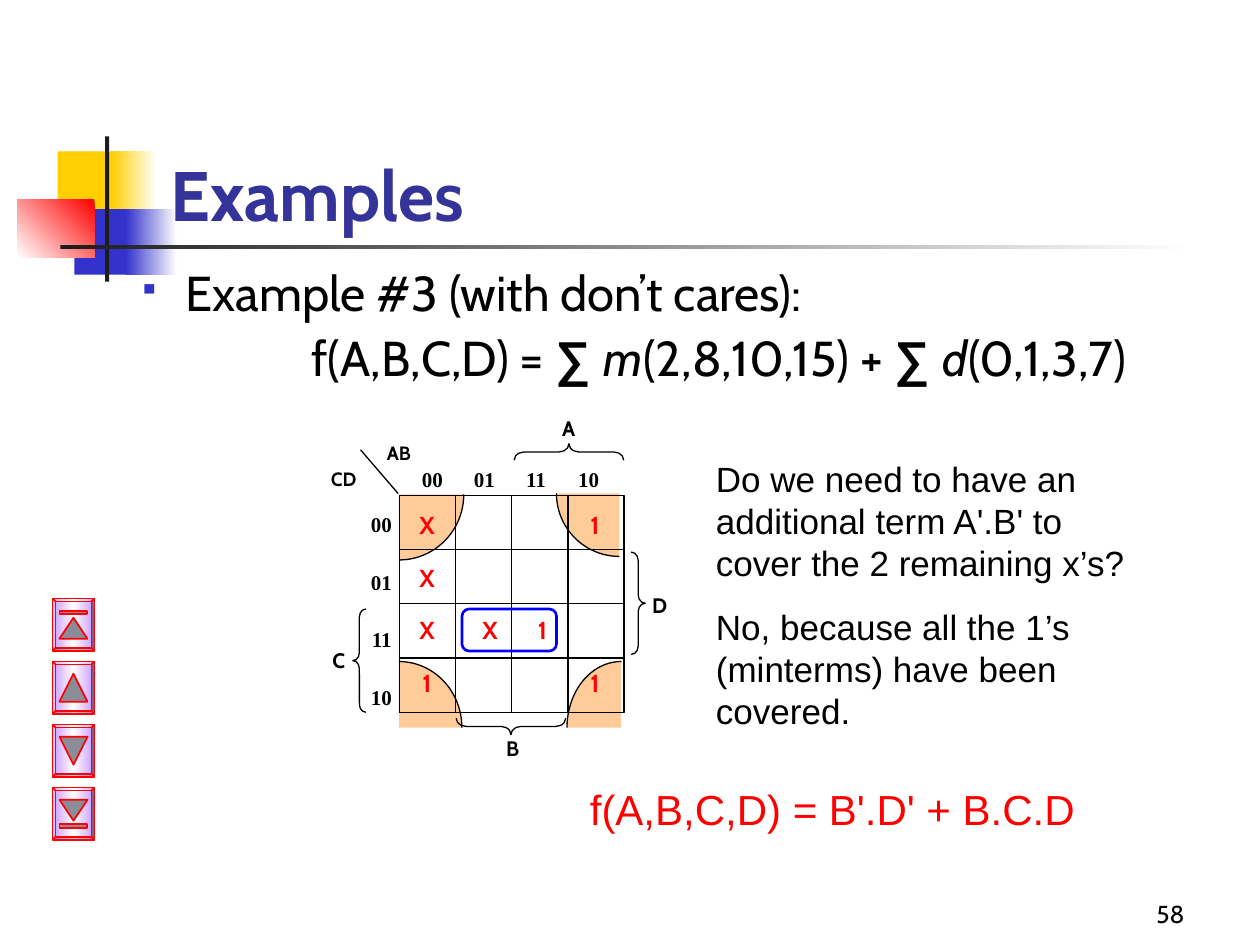
from lxml import etree
from pptx import Presentation
from pptx.dml.color import RGBColor
from pptx.enum.shapes import MSO_CONNECTOR, MSO_SHAPE
from pptx.enum.text import MSO_ANCHOR, MSO_AUTO_SIZE, PP_ALIGN
from pptx.oxml.ns import qn
from pptx.util import Pt

RECT, ROUND, BEVEL = MSO_SHAPE.RECTANGLE, MSO_SHAPE.ROUNDED_RECTANGLE, MSO_SHAPE.BEVEL
TRIANGLE, ARC = MSO_SHAPE.ISOSCELES_TRIANGLE, MSO_SHAPE.ARC
LEFT_BRACE, RIGHT_BRACE = MSO_SHAPE.LEFT_BRACE, MSO_SHAPE.RIGHT_BRACE
STRAIGHT = MSO_CONNECTOR.STRAIGHT
LEFT, CENTER, RIGHT = PP_ALIGN.LEFT, PP_ALIGN.CENTER, PP_ALIGN.RIGHT
TOP, BOTTOM = MSO_ANCHOR.TOP, MSO_ANCHOR.BOTTOM
CABIN, ARIAL, TIMES = "Cabin", "Arial", "Times New Roman"
BLACK, RED, BLUE, WHITE = "000000", "FF0000", "3333CC", "FFFFFF"

# Content
TITLE = "Examples"
HEADING = "Example #3 (with don’t cares):"
SUM = ("∑ ", {"font": ARIAL, "bold": True})
FORMULA = ["f(A,B,C,D) = ", SUM, ("m", {"italic": True}), "(2,8,10,15) + ",
           SUM, ("d", {"italic": True}), "(0,1,3,7)"]
NOTES = ["Do we need to have an additional term A'.B' to cover the 2 remaining x’s?",
         "No, because all the 1’s (minterms) have been covered."]
RESULT = "f(A,B,C,D) = B'.D' + B.C.D"
PAGE_NUMBER = "58"
CODES = ["00", "01", "11", "10"]
MAP_VALUES = [["X", "", "", "1"],
              ["X", "", "", ""],
              ["X", "X", "1", ""],
              ["1", "", "", "1"]]
# Variable name, box, size
VARIABLES = [("A", (313, 234, 24, 19), 12), ("B", (281, 417, 24, 19), 12),
             ("C", (181.5, 366.5, 24, 25), 12), ("D", (365, 335, 24, 25), 12),
             ("CD", (174, 263.5, 45, 21), 11), ("AB", (209.5, 248.5, 37, 21), 11)]
# Shape, box, rotation
BRACES = [(LEFT_BRACE, (201.6, 348, 7.5, 59), 0), (LEFT_BRACE, (320.4, 227, 9.4, 62.6), 90),
          (LEFT_BRACE, (287.3, 383.8, 9.4, 62.6), 270), (RIGHT_BRACE, (360.7, 315.5, 8, 58.5), 0)]
# Ellipse box, start angle of the quarter
CORNERS = [((324, 378, 62, 75.5), 180), ((192, 378, 72, 75.5), 270),
           ((318, 246, 72, 72), 90), ((191, 245, 74, 75), 0)]
# Box, colours, gradient angle
DECORATION = [((33, 86.5, 34.5, 37.5), ["FFCF01"], 0),
              ((63.5, 86.5, 26, 37.5), ["FFCF01", WHITE], 0),
              ((42.5, 119.5, 33, 37.5), [BLUE], 0),
              ((72, 119.5, 29, 37.5), [BLUE, WHITE], 0),
              ((10, 114, 44, 33), [RED, WHITE], 135),
              ((60, 78, 2.4, 83), ["1C1C1C"], 0),
              ((34.5, 140, 648, 2.5), ["1C1C1C", WHITE], 0)]
# Triangle offset, triangle height, rotation, bar offset
BUTTONS = [(11, 12, 0, 7), (7, 16, 0, None), (7, 16, 180, None), (7, 12, 180, 21)]


def color(value):
    return RGBColor.from_string(value)


def set_fill(shape, colors, angle=0):
    if not colors:
        shape.fill.background()
    elif len(colors) == 1:
        shape.fill.solid()
        shape.fill.fore_color.rgb = color(colors[0])
    else:
        shape.fill.gradient()
        shape.fill.gradient_angle = (360 - angle) % 360
        stops = shape._element.spPr.find(qn("a:gradFill")).find(qn("a:gsLst"))
        for stop in list(stops):
            stops.remove(stop)
        for index, value in enumerate(colors):
            position = str(100000 * index // (len(colors) - 1))
            stop = etree.SubElement(stops, qn("a:gs"), pos=position)
            etree.SubElement(stop, qn("a:srgbClr"), val=value)


def add_shape(kind, at, colors=(), angle=0, line=None, width=0.75, rotation=0, adjust=()):
    shape = page.shapes.add_shape(kind, *map(Pt, at))
    shape.shadow.inherit = False
    shape.rotation = rotation
    for index, value in enumerate(adjust):
        shape.adjustments[index] = value
    set_fill(shape, colors, angle)
    if line:
        shape.line.color.rgb = color(line)
        shape.line.width = Pt(width)
    else:
        shape.line.fill.background()
    return shape


def add_line(start, end):
    line = page.shapes.add_connector(STRAIGHT, *map(Pt, start + end))
    line.line.color.rgb = color(BLACK)
    line.line.width = Pt(0.75)
    etree.SubElement(line._element.spPr, qn("a:effectLst"))
    return line


def write(box, paras, size=12, font=CABIN, ink=BLACK, bold=False, align=LEFT,
          anchor=TOP, before=0, spacing=None):
    """Fill a box; a paragraph is a string or a list of strings and (string, format) pairs."""
    frame = box.text_frame
    frame.word_wrap = True
    frame.auto_size = MSO_AUTO_SIZE.NONE
    frame.vertical_anchor = anchor
    for index, content in enumerate(paras):
        para = frame.add_paragraph() if index else frame.paragraphs[0]
        para.alignment = align
        para.space_before = Pt(before if index else 0)
        if spacing:
            para.line_spacing = spacing
        for item in [content] if isinstance(content, str) else content:
            words, style = (item, {}) if isinstance(item, str) else item
            span = para.add_run()
            span.text = words
            span.font.name = style.get("font", font)
            span.font.size = Pt(size)
            span.font.bold = style.get("bold", bold)
            span.font.italic = style.get("italic", False)
            span.font.color.rgb = color(ink)
    return box


def add_text(at, paras, **style):
    return write(page.shapes.add_textbox(*map(Pt, at)), paras, **style)


deck = Presentation()
deck.slide_width, deck.slide_height = Pt(720), Pt(540)
page = deck.slides.add_slide(deck.slide_layouts[5])

# Corner decoration and title
for at, colors, angle in DECORATION:
    add_shape(RECT, at, colors, angle)
title = page.shapes.title
title.left, title.top, title.width, title.height = map(Pt, (90.5, 48, 613.5, 90))
write(title, [TITLE], size=40, ink="333399", bold=True, anchor=BOTTOM)
page.shapes._spTree.append(title._element)

# Heading with bullet, formula indented below it
body = add_text((72, 150, 630, 78), [HEADING, FORMULA], size=28, before=7, spacing=0.9)
for para, margin, indent in zip(body.text_frame.paragraphs, (27, 99), (-27, 0)):
    properties = para._p.get_or_add_pPr()
    properties.set("marL", str(Pt(margin)))
    properties.set("indent", str(Pt(indent)))
bullet = body.text_frame.paragraphs[0]._p.pPr
etree.SubElement(etree.SubElement(bullet, qn("a:buClr")), qn("a:srgbClr"), val=BLUE)
etree.SubElement(bullet, qn("a:buSzPct"), val="60000")
etree.SubElement(bullet, qn("a:buChar"), char="▪")

# Navigation buttons
for index, (offset, height, rotation, bar) in enumerate(BUTTONS):
    left, top = 30, 342 + 36 * index
    add_shape(BEVEL, (left, top, 24, 30), ["CC99FF", WHITE, "CC99FF"],
              line=RED, width=1, adjust=[0.07])
    add_shape(TRIANGLE, (left + 4, top + offset, 16, height), ["8C8C99"],
              line=RED, width=1, rotation=rotation)
    if bar:
        add_shape(RECT, (left + 4, top + bar, 16, 2), ["8C8C99"], line=RED, width=1)

# Karnaugh map: corner group, frame, grid lines
for at, start in CORNERS:
    # Angles are stored in 60000ths of a degree, adjustments in 100000ths
    add_shape(ARC, at, ["FFCC99"], line=BLACK,
              adjust=[start * 0.6, (start + 90) % 360 * 0.6])
GRID_LEFT, GRID_TOP, CELL_WIDTH, CELL_HEIGHT = 228.25, 283, 32.1, 31
GRID_RIGHT, GRID_BOTTOM = GRID_LEFT + 4 * CELL_WIDTH, GRID_TOP + 4 * CELL_HEIGHT
grid = add_shape(RECT, (GRID_LEFT, GRID_TOP, 4 * CELL_WIDTH, 4 * CELL_HEIGHT), line=BLACK)
for index in (1, 2, 3, 4):
    x, y = GRID_LEFT + index * CELL_WIDTH, GRID_TOP + index * CELL_HEIGHT
    across = add_line((GRID_LEFT, y), (GRID_RIGHT, y))
    if index < 4:
        down = add_line((x, GRID_TOP), (x, GRID_BOTTOM))
    if index == 2:
        across.begin_connect(grid, 1)
        across.end_connect(grid, 3)
        down.begin_connect(grid, 0)
        down.end_connect(grid, 2)
add_line((227.5, 282), (206, 257))

# Map labels and braces
add_text((203, 289, 28, 129), CODES, font=TIMES, bold=True, align=RIGHT, before=18.4)
columns = add_text((234, 263, 120, 25), ["\t".join(CODES)], font=TIMES, bold=True)
tabs = etree.SubElement(columns.text_frame.paragraphs[0]._p.pPr, qn("a:tabLst"))
for index in (1, 2, 3):
    etree.SubElement(tabs, qn("a:tab"), pos=str(Pt(29.75 * index)), algn="l")
for name, at, size in VARIABLES:
    add_text(at, [name], size=size, bold=True, align=CENTER)
for kind, at, rotation in BRACES:
    add_shape(kind, at, line=BLACK, rotation=rotation, adjust=[0.6, 0.5])

# Map values and the B.C.D group
for row, values in enumerate(MAP_VALUES):
    for left, value in zip((228, 264, 294, 324), values):
        if value:
            add_text((left, 288 + 30 * row, 32, 25), [value], size=14, ink=RED,
                     bold=True, align=CENTER)
add_shape(ROUND, (264, 348, 54, 24), line="0000FF", width=1.5, adjust=[0.17])

# Result, notes, page number
add_text((330, 444, 318, 36), [RESULT], size=24, font=ARIAL, ink=RED)
add_text((402, 258, 252, 164), NOTES, size=20, font=ARIAL, before=12.5)
add_text((534, 498, 150, 36), [PAGE_NUMBER], size=14, align=RIGHT, anchor=BOTTOM)

deck.save("out.pptx")
